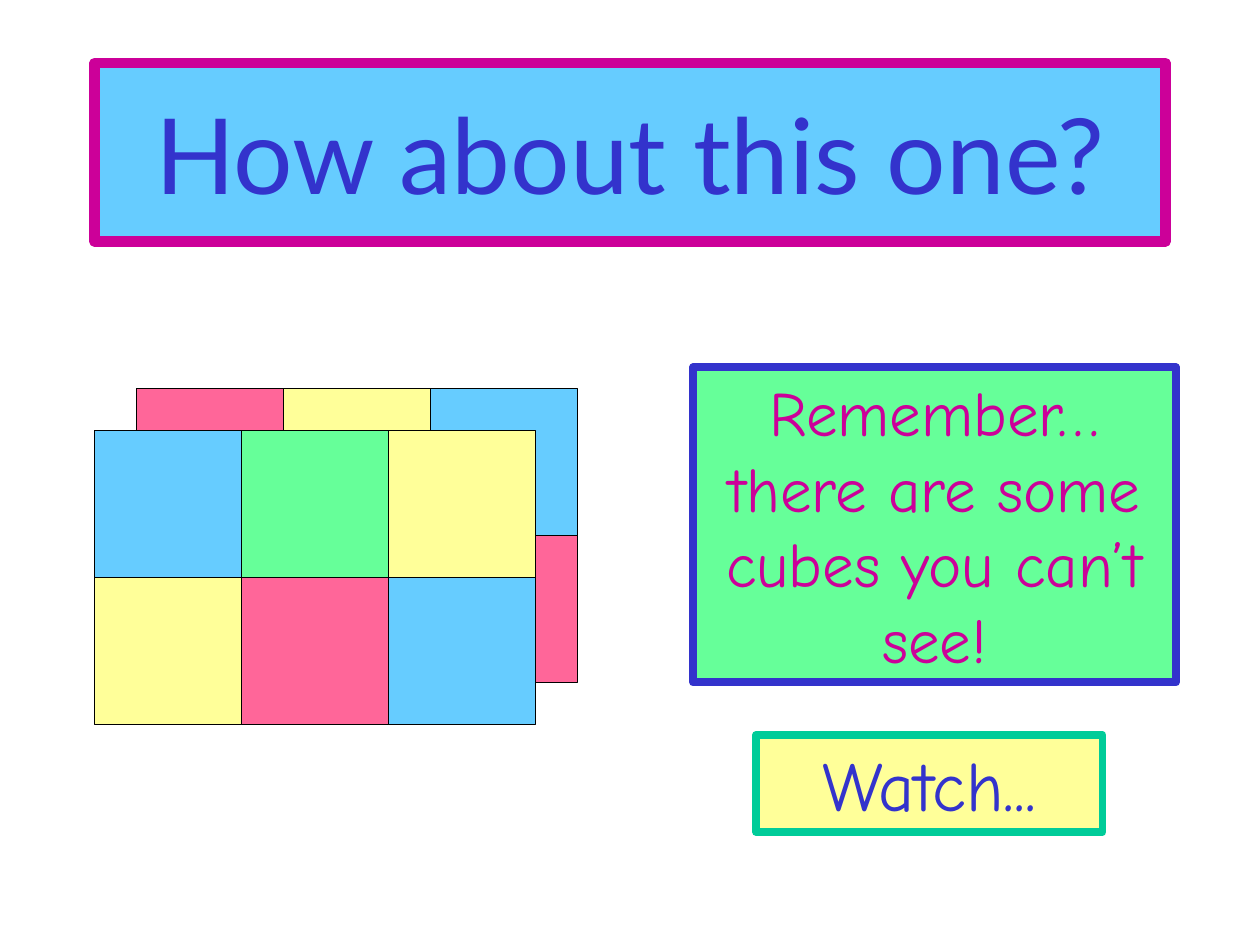
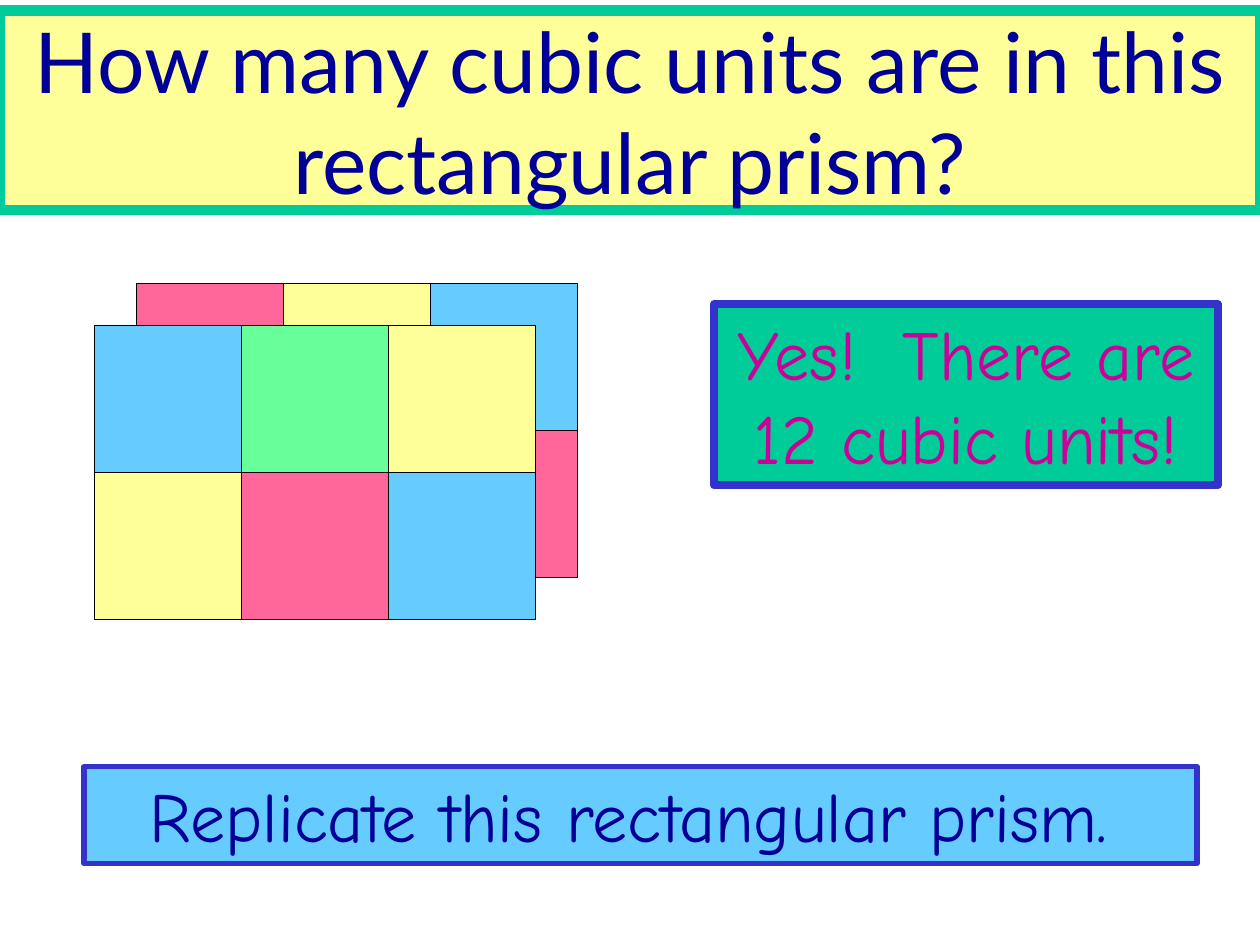
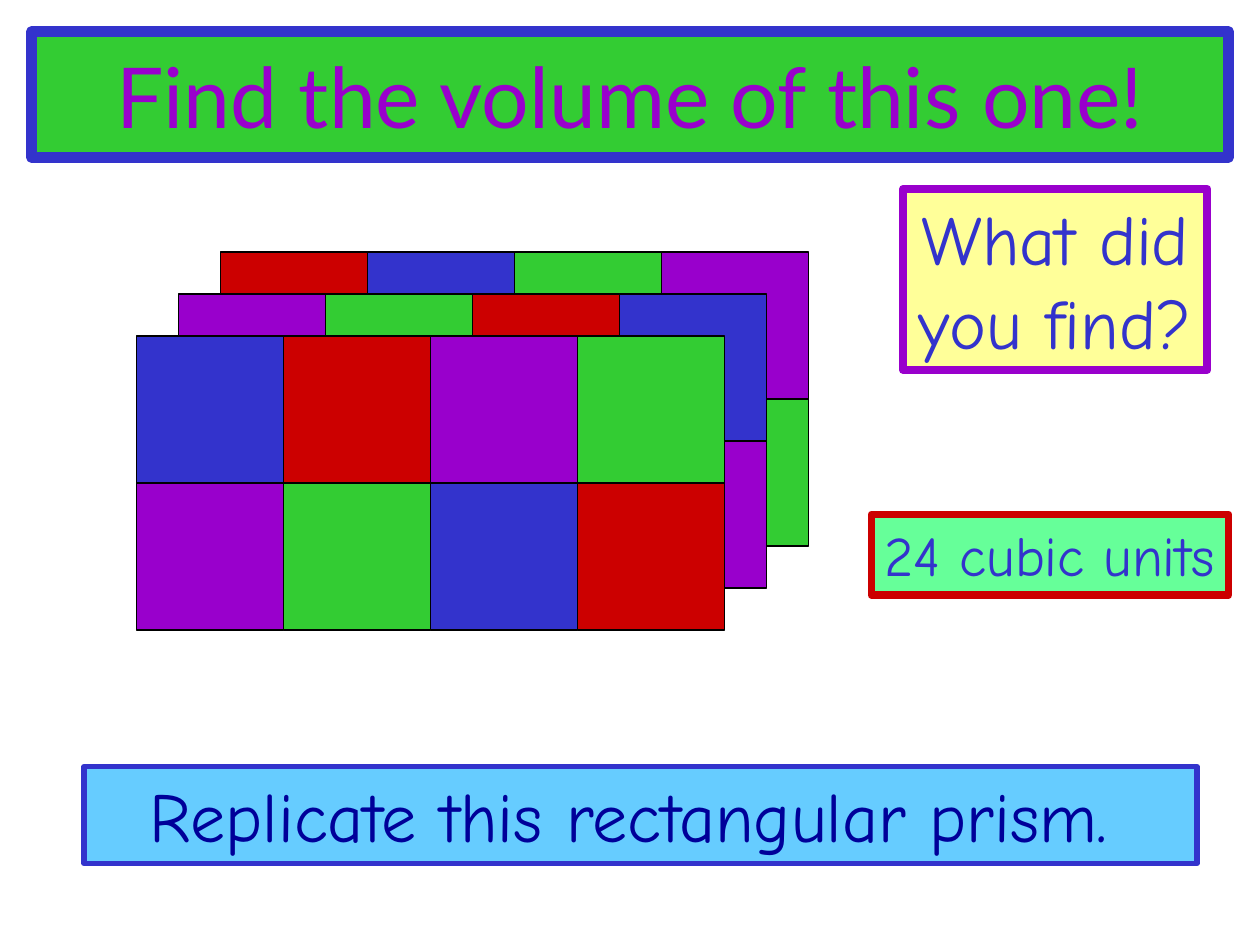
"""Build three slides about counting cubic units in rectangular prisms."""
from dataclasses import dataclass

from pptx import Presentation
from pptx.dml.color import RGBColor as Rgb
from pptx.enum.shapes import MSO_SHAPE as Kind
from pptx.enum.text import MSO_ANCHOR as Anchor, MSO_AUTO_SIZE as Fit, PP_ALIGN as Align
from pptx.util import Pt


@dataclass(frozen=True)
class Theme:
    sky: str = "66CCFF"
    mint: str = "66FF99"
    rose: str = "FF6699"
    cream: str = "FFFF99"
    teal: str = "00CC99"
    plum: str = "CC0099"
    blue: str = "3333CC"
    navy: str = "000099"
    green: str = "33CC33"
    violet: str = "9900CC"
    red: str = "CC0000"
    black: str = "000000"
    head: str = "Lato"
    hand: str = "Comic Neue"
    huge: int = 60
    large: int = 48
    body: int = 40
    mid: int = 36
    small: int = 32
    cube: int = 84
    shift: int = 24


class Deck:
    def __init__(self, theme):
        self.theme = theme
        self.prs = Presentation()
        self.prs.slide_width, self.prs.slide_height = Pt(720), Pt(540)
        self.slide = None

    def start(self):
        self.slide = self.prs.slides.add_slide(self.prs.slide_layouts[5])

    def paint(self, shape, fill, line, width):
        shape.fill.solid()
        shape.fill.fore_color.rgb = Rgb.from_string(fill)
        shape.line.color.rgb = Rgb.from_string(line)
        shape.line.width = Pt(width)

    def rect(self, box, fill, line, width):
        shape = self.slide.shapes.add_shape(Kind.RECTANGLE, *map(Pt, box))
        shape.shadow.inherit = False
        self.paint(shape, fill, line, width)
        return shape

    def label(self, shape, text, font, size, ink, anchor, fit):
        frame = shape.text_frame
        frame.word_wrap = True
        frame.auto_size = fit
        frame.vertical_anchor = anchor
        para = frame.paragraphs[0]
        para.alignment = Align.CENTER
        run = para.add_run()
        run.text = text
        run.font.name = font
        run.font.size = Pt(size)
        run.font.color.rgb = Rgb.from_string(ink)

    def title(self, text, box, fill, line, ink, size):
        shape = self.slide.shapes.title
        shape.left, shape.top, shape.width, shape.height = map(Pt, box)
        self.paint(shape, fill, line, 6)
        self.label(shape, text, self.theme.head, size, ink, Anchor.MIDDLE, Fit.NONE)

    def note(self, text, box, fill, line, ink, size, width=4.5):
        shape = self.rect(box, fill, line, width)
        self.label(shape, text, self.theme.hand, size, ink, Anchor.TOP, Fit.SHAPE_TO_FIT_TEXT)

    def prism(self, left, top, layers):
        side, shift = self.theme.cube, self.theme.shift
        for depth, layer in enumerate(layers):
            for row, tints in enumerate(layer):
                for col, tint in enumerate(tints):
                    x = left - depth * shift + col * side
                    y = top + depth * shift + row * side
                    self.rect((x, y, side, side), tint, self.theme.black, 0.75)

    def task(self):
        t = self.theme
        self.note("Replicate this rectangular prism. ", (48, 438, 636, 55.4),
                  t.sky, t.blue, t.navy, t.body, 3)


def main():
    t = Theme()
    deck = Deck(t)
    pair = [
        [(t.rose, t.cream, t.sky), (t.sky, t.mint, t.rose)],
        [(t.sky, t.mint, t.cream), (t.cream, t.rose, t.sky)],
    ]
    trio = [
        [(t.red, t.blue, t.green, t.violet), (t.blue, t.violet, t.red, t.green)],
        [(t.violet, t.green, t.red, t.blue), (t.red, t.blue, t.green, t.violet)],
        [(t.blue, t.red, t.violet, t.green), (t.violet, t.green, t.blue, t.red)],
    ]

    deck.start()
    deck.title("How about this one?", (54, 36, 612, 102), t.sky, t.plum, t.blue, t.huge)
    deck.prism(78, 222, pair)
    deck.note("Remember… there are some cubes you can’t see!", (396, 210, 276, 180),
              t.mint, t.blue, t.plum, t.mid)
    deck.note("Watch...", (432, 420, 198, 55.4), t.cream, t.teal, t.blue, t.body)

    deck.start()
    deck.title("How many cubic units are in this rectangular prism?", (0, 6, 720, 114),
               t.cream, t.teal, t.navy, t.large)
    deck.prism(78, 162, pair)
    deck.note("Yes!  There are 12 cubic units!", (408, 174, 288, 103.4),
              t.teal, t.blue, t.plum, t.body)
    deck.task()

    deck.start()
    deck.title("Find the volume of this one!", (18, 18, 684, 72),
               t.green, t.blue, t.violet, t.large)
    deck.prism(126, 144, trio)
    deck.note("What did you find?", (516, 108, 174, 103.4),
              t.cream, t.violet, t.blue, t.body)
    deck.note("24 cubic units", (498, 294, 204, 46), t.mint, t.red, t.blue, t.small)
    deck.task()

    deck.prs.save("out.pptx")


if __name__ == "__main__":
    main()
